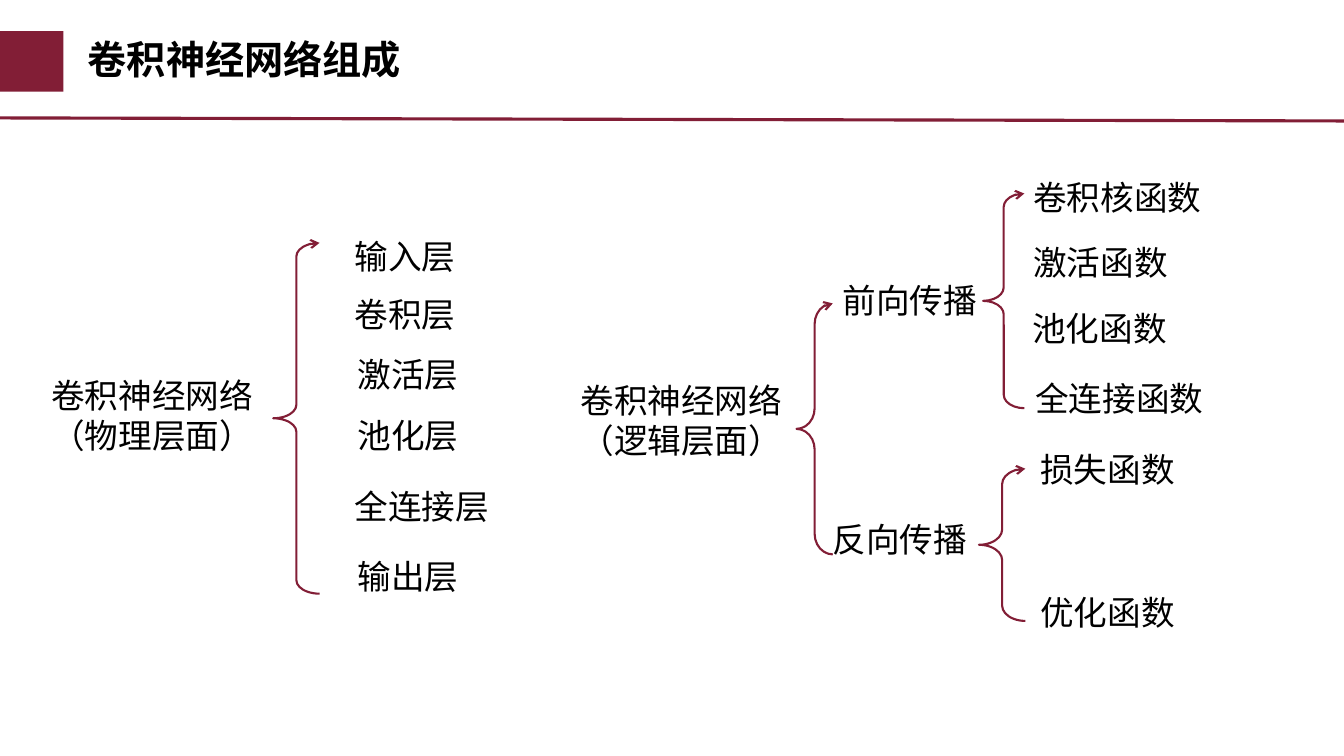
from dataclasses import dataclass

from lxml import etree
from pptx import Presentation
from pptx.dml.color import RGBColor
from pptx.enum.shapes import MSO_CONNECTOR, MSO_SHAPE
from pptx.enum.text import MSO_ANCHOR, MSO_AUTO_SIZE, PP_ALIGN
from pptx.oxml.ns import qn
from pptx.util import Inches, Pt

RECTANGLE, LEFT_BRACE = MSO_SHAPE.RECTANGLE, MSO_SHAPE.LEFT_BRACE
STRAIGHT = MSO_CONNECTOR.STRAIGHT
MIDDLE, LEFT = MSO_ANCHOR.MIDDLE, PP_ALIGN.LEFT
FIT_SHAPE = MSO_AUTO_SIZE.SHAPE_TO_FIT_TEXT


@dataclass(frozen=True)
class Theme:
    accent: RGBColor = RGBColor(0x82, 0x1E, 0x36)
    ink: RGBColor = RGBColor(0, 0, 0)
    title_font: str = "Noto Sans CJK SC"
    body_font: str = "Arial"
    title_size: int = 28
    body_size: int = 24
    rule_width: float = 2.25
    brace_width: float = 1.5


THEME = Theme()

# Content: each label is (text, left, top)
TITLE = "卷积神经网络组成"
ROOTS = [("卷积神经网络（物理层面）", 0.41, 3.67), ("卷积神经网络（逻辑层面）", 5.66, 3.72)]
LAYERS = [
    ("输入层", 3.42, 2.29),
    ("卷积层", 3.42, 2.87),
    ("激活层", 3.45, 3.46),
    ("池化层", 3.45, 4.07),
    ("全连接层", 3.42, 4.77),
    ("输出层", 3.45, 5.47),
]
PASSES = [("前向传播", 8.26, 2.73), ("反向传播", 8.16, 5.1)]
FUNCTIONS = [
    ("卷积核函数", 10.15, 1.71),
    ("激活函数", 10.15, 2.35),
    ("池化函数", 10.14, 3.01),
    ("全连接函数", 10.17, 3.7),
    ("损失函数", 10.22, 4.4),
    ("优化函数", 10.22, 5.82),
]
# Label groups with their box width and height
LABEL_GROUPS = [(ROOTS, 2.62, 0.91), (LAYERS, 1.76, 0.5),
                (PASSES, 1.56, 0.5), (FUNCTIONS, 2.13, 0.5)]
# Braces: left, top, width, height, curl
BRACES = [
    (2.71, 2.41, 0.46, 3.48, 0.291),
    (7.9, 3.01, 0.36, 2.49, 0.569),
    (9.75, 1.92, 0.41, 2.13, 0.325),
    (9.71, 4.65, 0.46, 1.51, 0.33),
]


def style_text(paragraph, font_name, size, bold=False):
    paragraph.alignment = LEFT
    for run in paragraph.runs:
        run.font.name = font_name
        run.font.size = Pt(size)
        run.font.bold = bold
        run.font.color.rgb = THEME.ink


def add_header(slide):
    marker = slide.shapes.add_shape(RECTANGLE, 0, Inches(0.31), Inches(0.63), Inches(0.6))
    marker.shadow.inherit = False
    marker.fill.solid()
    marker.fill.fore_color.rgb = THEME.accent
    marker.line.fill.background()

    rule = slide.shapes.add_connector(
        STRAIGHT, Inches(-0.02), Inches(1.17), Inches(13.37), Inches(1.2))
    rule.line.color.rgb = THEME.accent
    rule.line.width = Pt(THEME.rule_width)
    etree.SubElement(rule._element.spPr, qn("a:effectLst"))

    title = slide.shapes.title
    title.left, title.top = Inches(0.77), Inches(0.32)
    title.width, title.height = Inches(10.93), Inches(0.58)
    title.text_frame.text = TITLE
    title.text_frame.vertical_anchor = MIDDLE
    heading = title.text_frame.paragraphs[0]
    heading.line_spacing = 0.9
    style_text(heading, THEME.title_font, THEME.title_size, bold=True)
    # East Asian glyphs take their own typeface
    east_asian = etree.SubElement(heading.runs[0].font._element, qn("a:ea"))
    east_asian.set("typeface", THEME.title_font)


def add_label(slide, text, left, top, width, height):
    label = slide.shapes.add_textbox(Inches(left), Inches(top), Inches(width), Inches(height))
    label.text_frame.word_wrap = True
    label.text_frame.auto_size = FIT_SHAPE
    label.text_frame.text = text
    style_text(label.text_frame.paragraphs[0], THEME.body_font, THEME.body_size)


def add_brace(slide, left, top, width, height, curl):
    brace = slide.shapes.add_shape(
        LEFT_BRACE, Inches(left), Inches(top), Inches(width), Inches(height))
    brace.adjustments[0] = curl
    brace.adjustments[1] = 0.5
    brace.shadow.inherit = False
    brace.fill.background()
    brace.line.color.rgb = THEME.accent
    brace.line.width = Pt(THEME.brace_width)
    # Arrowhead on the upper end
    etree.SubElement(brace.line._get_or_add_ln(), qn("a:tailEnd")).set("type", "arrow")


def main():
    deck = Presentation()
    deck.slide_width, deck.slide_height = Inches(13.33), Inches(7.5)
    slide = deck.slides.add_slide(deck.slide_layouts[5])

    add_header(slide)
    for brace in BRACES:
        add_brace(slide, *brace)
    for labels, width, height in LABEL_GROUPS:
        for text, left, top in labels:
            add_label(slide, text, left, top, width, height)

    deck.save("out.pptx")


if __name__ == "__main__":
    main()
